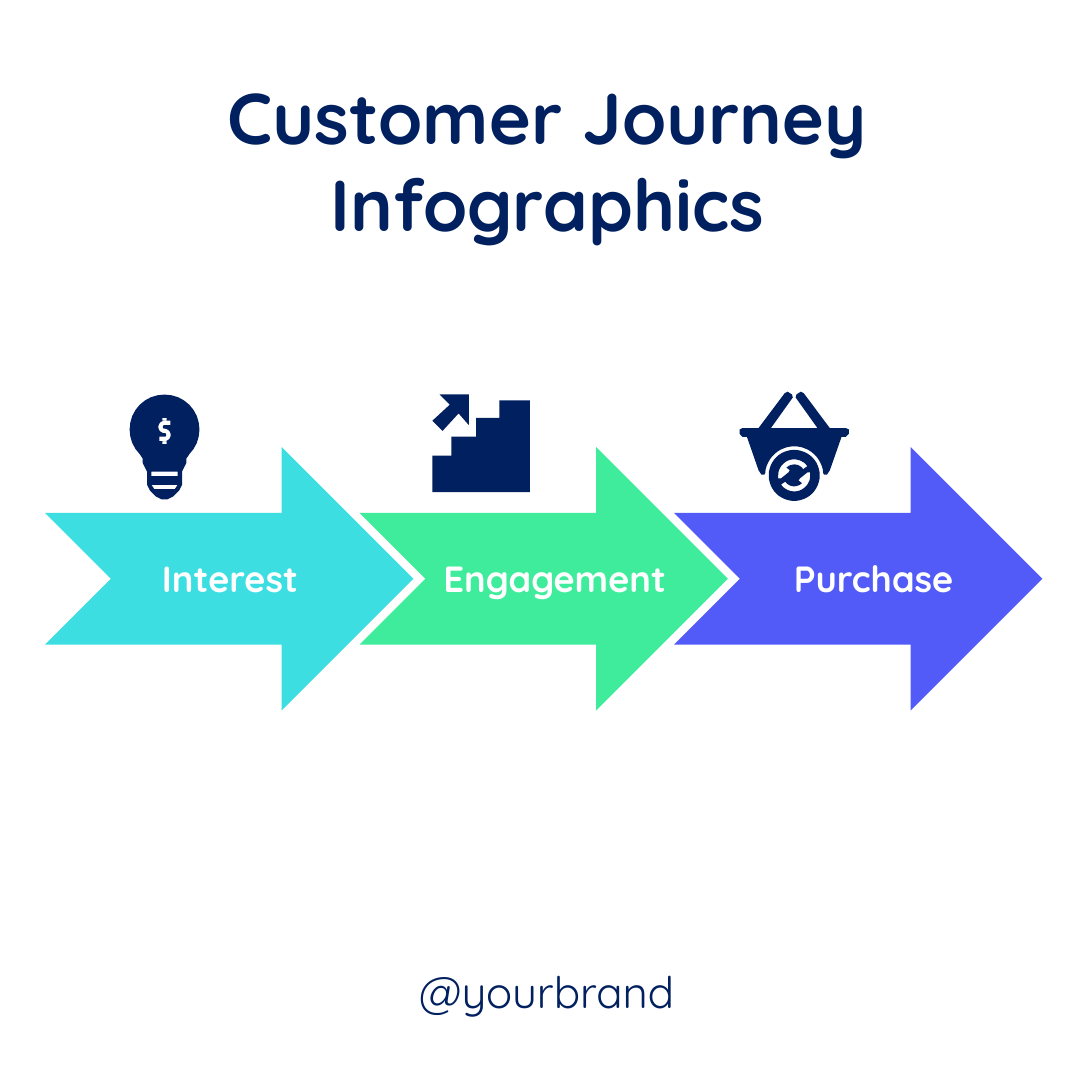
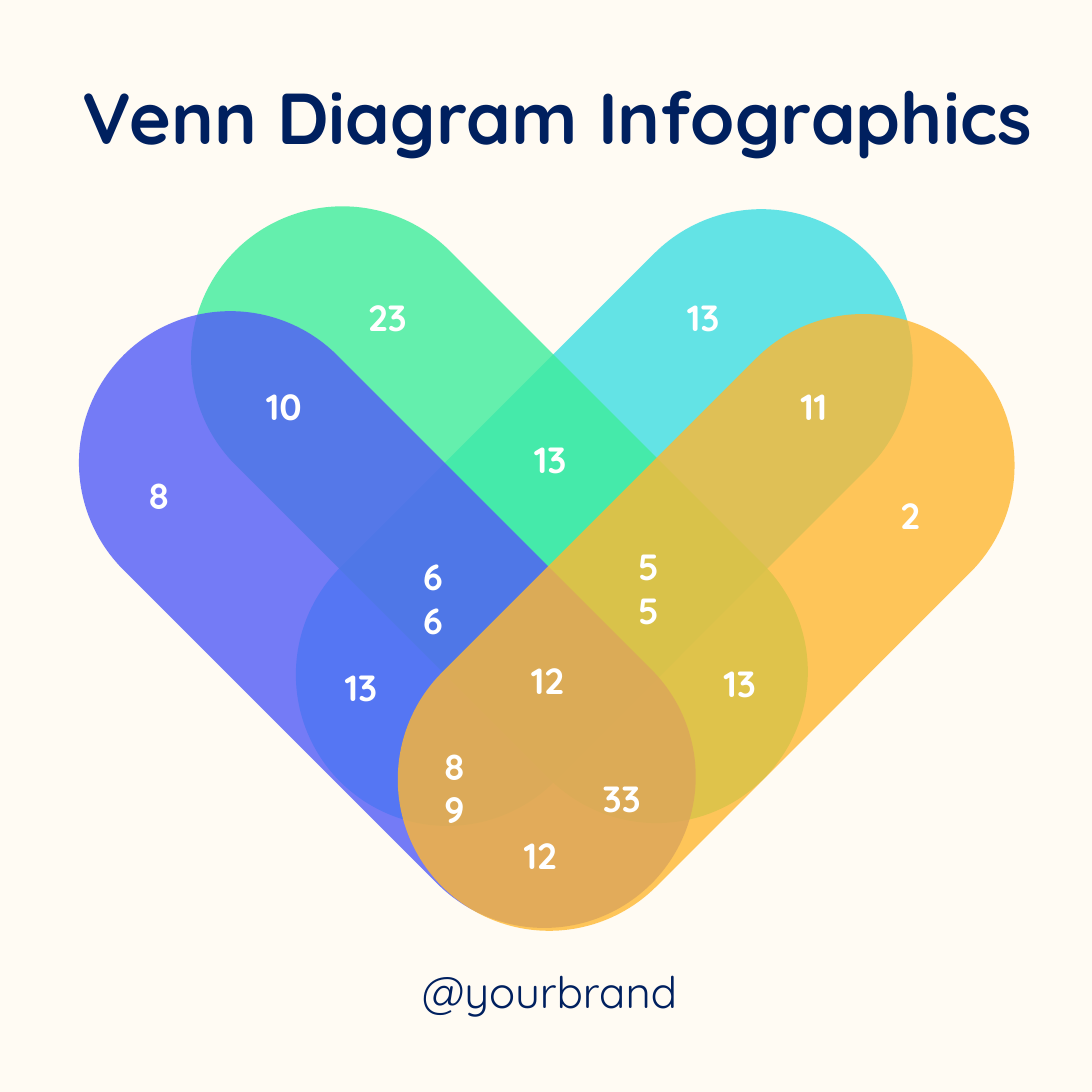
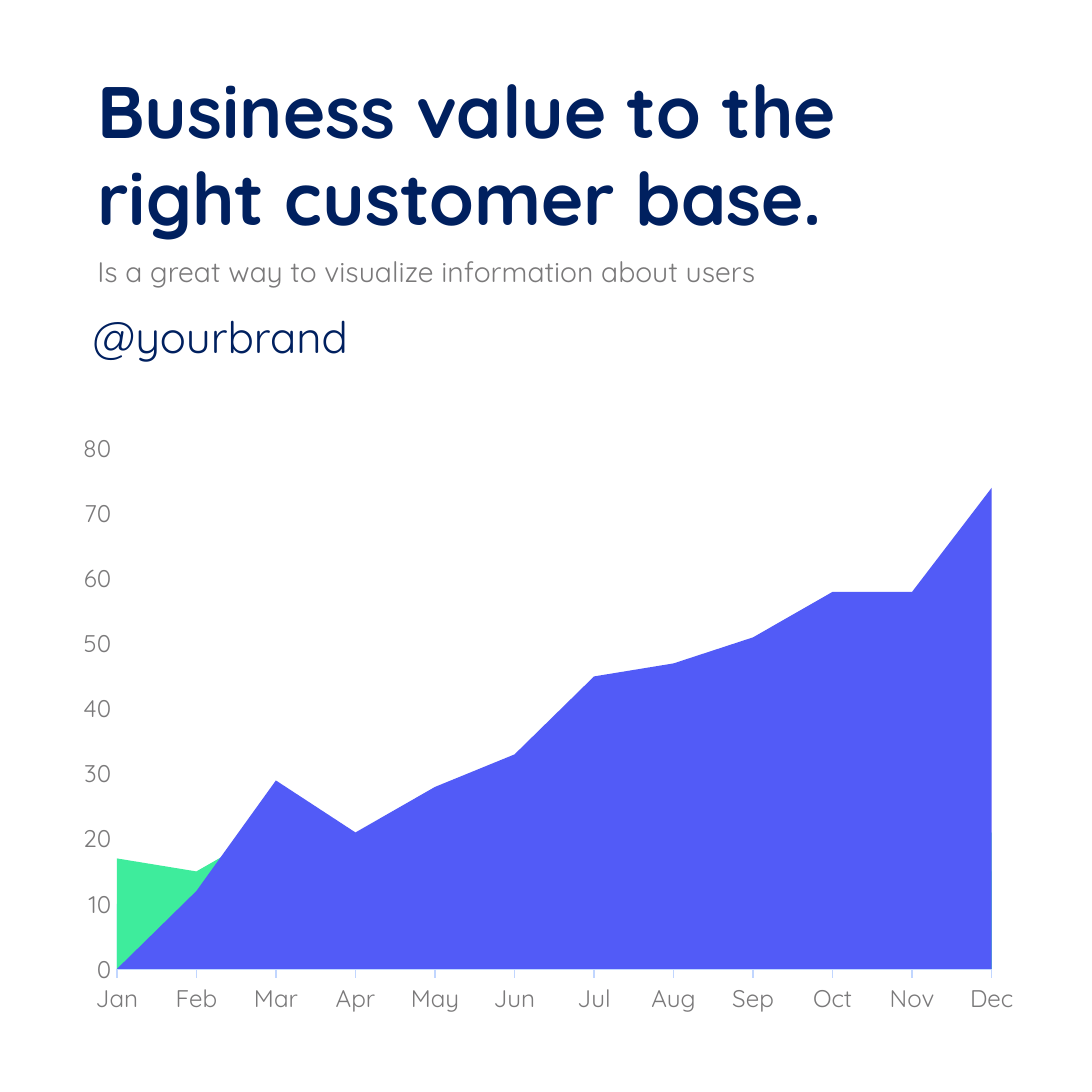
from math import cos, radians, sin

from lxml.etree import SubElement
from pptx import Presentation
from pptx.chart.data import CategoryChartData
from pptx.dml.color import RGBColor
from pptx.enum.chart import XL_CHART_TYPE, XL_TICK_MARK
from pptx.enum.shapes import MSO_SHAPE
from pptx.enum.text import MSO_AUTO_SIZE, PP_ALIGN
from pptx.oxml.ns import qn
from pptx.util import Inches, Pt

FONT = "Quicksand"
NAVY = RGBColor(0x00, 0x20, 0x5F)
WHITE = RGBColor(0xFF, 0xFF, 0xFF)
CREAM = RGBColor(0xFF, 0xFB, 0xF3)
GRAY = RGBColor(0x7A, 0x79, 0x7A)
CYAN = RGBColor(0x3C, 0xDE, 0xE2)
GREEN = RGBColor(0x3E, 0xEC, 0x9C)
BLUE = RGBColor(0x52, 0x5B, 0xF7)
ORANGE = RGBColor(0xFE, 0xB8, 0x33)
PALE_BLUE = RGBColor(0xC1, 0xD6, 0xFF)


def add_slide(presentation, background):
    slide = presentation.slides.add_slide(presentation.slide_layouts[6])
    slide.background.fill.solid()
    slide.background.fill.fore_color.rgb = background
    return slide


def add_text(slide, box, text, size, color, bold=False, align=PP_ALIGN.CENTER, wrap=True):
    frame = slide.shapes.add_textbox(*map(Inches, box)).text_frame
    frame.word_wrap = wrap
    frame.auto_size = MSO_AUTO_SIZE.SHAPE_TO_FIT_TEXT
    paragraph = frame.paragraphs[0]
    paragraph.alignment = align
    run = paragraph.add_run()
    run.text = text
    run.font.name = FONT
    run.font.size = Pt(size)
    run.font.bold = bold
    run.font.color.rgb = color


def add_title(slide, box, text, size=35.6, align=PP_ALIGN.CENTER):
    add_text(slide, box, text, size, NAVY, True, align)


def add_handle(slide, left, top=6.58, align=PP_ALIGN.CENTER):
    add_text(slide, (left, top, 2.75, 0.46), "@yourbrand", 21.6, NAVY, align=align)


def add_label(slide, box, text, wrap=True):
    add_text(slide, box, text, 18, WHITE, True, wrap=wrap)


def paint(shape, color, opacity=100):
    shape.shadow.inherit = False
    shape.line.fill.background()
    shape.fill.solid()
    shape.fill.fore_color.rgb = color
    if opacity < 100:
        color_element = shape.fill._xPr.find(qn("a:solidFill"))[0]
        SubElement(color_element, qn("a:alpha")).set("val", str(opacity * 1000))


def arc(center_x, center_y, radius, start, end, steps=24):
    """Return points along an arc; angles run clockwise from the right."""
    angles = [radians(start + (end - start) * step / steps) for step in range(steps + 1)]
    return [(center_x + radius * cos(a), center_y + radius * sin(a)) for a in angles]


def rectangle(left, top, right, bottom):
    return [(left, top), (right, top), (right, bottom), (left, bottom)]


def mirror(points, center_x):
    """Return the points reflected left to right, in reverse order."""
    return [(2 * center_x - x, y) for x, y in reversed(points)]


def add_icon(slide, left, top, contours):
    """Draw closed contours, in hundredths of an inch; inner ones become holes."""
    builder = None
    for contour in contours:
        points = [(10 * x, 10 * y) for x, y in contour]
        if builder is None:
            builder = slide.shapes.build_freeform(*points[0], scale=Inches(1) / 1000)
        else:
            builder.move_to(*points[0])
        builder.add_line_segments(points[1:], close=True)
    paint(builder.convert_to_shape(Inches(left), Inches(top)), NAVY)


def add_bulb(slide, left, top):
    neck = [(41, 41), (39, 44), (39, 47), (36, 53), (36, 62), (34, 66), (30, 70), (26, 72)]
    bulb = arc(24, 24, 24, 135, 405) + neck + mirror(neck, 24)
    dollar = ([(28, 18)] + arc(24, 22.25, 4.25, 270, 90) + arc(24, 27.75, 1.25, -90, 90)
              + [(20.5, 29), (20.5, 32)]
              + arc(24, 27.75, 4.25, 90, -90) + arc(24, 22.25, 1.25, 90, 270) + [(28, 21)])
    add_icon(slide, left, top, [
        bulb, dollar,
        rectangle(22.5, 16, 25.5, 18), rectangle(22.5, 32, 25.5, 34),
        rectangle(15, 53, 33, 56), [(15, 62), (33, 62), (31, 65), (17, 65)],
    ])


def add_stairs(slide, left, top):
    stairs = [(46, 4), (46, 16), (30, 16), (30, 29), (13, 29),
              (13, 42), (0, 42), (0, 67), (67, 67), (67, 4)]
    arrow = [(7, 25), (18, 13), (25, 21), (25, 0), (5, 0), (12, 7), (0, 18)]
    add_icon(slide, left, top, [stairs, arrow])


def add_basket(slide, left, top):
    middle, wheel_y = 37.5, 57.5
    half = [(21.5, 25), (36.5, 4), (36, 2), (33, 0), (31, 1), (13, 25), (2, 25), (0, 26),
            (0, 29), (2, 31), (5, 31), (13, 54), (15, 57), (17, 57)]
    basket = half + arc(middle, wheel_y, 20, 185, 355) + mirror(half, middle)
    turn = (arc(0, 0, 11, 180, 325) + arc(0, 0, 7.5, 325, 225)
            + [(-3, -3.5), (-4, -2), (-9, 2), (-11, 2)])
    turns = [[(middle + sign * x, wheel_y + sign * y) for x, y in turn] for sign in (1, -1)]
    add_icon(slide, left, top, [basket, arc(middle, wheel_y, 17.5, 0, 360, 48), *turns])


def add_stage(slide, left, top, name, color, label_offset):
    arrow = slide.shapes.add_shape(
        MSO_SHAPE.NOTCHED_RIGHT_ARROW, Inches(left), Inches(top), Inches(2.53), Inches(1.81))
    paint(arrow, color)
    add_label(slide, (left + label_offset, top + 0.7, 1.8, 0.4), name)


def build_journey_slide(presentation):
    slide = add_slide(presentation, WHITE)
    add_title(slide, (0.56, 0.45, 6.4, 1.3), "Customer Journey Infographics")
    stages = [("Interest", CYAN, 0.37), ("Engagement", GREEN, 0.44), ("Purchase", BLUE, 0.47)]
    for index, stage in enumerate(stages):
        add_stage(slide, 0.31 + 2.16 * index, 3.07, *stage)
    add_bulb(slide, 0.89, 2.71)
    add_stairs(slide, 2.97, 2.71)
    add_basket(slide, 5.08, 2.69)
    add_handle(slide, 2.38)


def add_venn(slide, left, top):
    capsules = [(1.49, 0.02, 45, CYAN), (0.77, 0, 135, GREEN),
                (0, 0.72, 135, BLUE), (2.19, 0.74, 45, ORANGE)]
    for x, y, rotation, color in capsules:
        capsule = slide.shapes.add_shape(
            MSO_SHAPE.ROUNDED_RECTANGLE,
            Inches(left + x), Inches(top + y), Inches(2.08), Inches(5.13))
        capsule.adjustments[0] = 0.5
        capsule.rotation = rotation
        paint(capsule, color, 80)

    # Center and top of each value
    values = [("23", 1.04, 1.01), ("10", 0.33, 1.62), ("8", -0.53, 2.23), ("13", 3.21, 1.01),
              ("11", 3.97, 1.62), ("2", 4.63, 2.37), ("13", 2.16, 1.98), ("13", 0.86, 3.55),
              ("12", 2.14, 3.5), ("89", 1.5, 4.09), ("13", 3.46, 3.52), ("33", 2.65, 4.31),
              ("12", 2.09, 4.7)]
    for value, center, y in values:
        add_label(slide, (left + center - 0.24, top + y, 0.48, 0.4), value, wrap=False)
    # Narrow boxes put one digit on each line
    for value, center, y in [("66", 1.36, 2.79), ("55", 2.84, 2.72)]:
        add_label(slide, (left + center - 0.22, top + y, 0.43, 0.71), value)


def build_venn_slide(presentation):
    slide = add_slide(presentation, CREAM)
    add_title(slide, (0.32, 0.45, 7.02, 0.7), "Venn Diagram Infographics")
    add_handle(slide, 2.4)
    add_venn(slide, 1.62, 0.97)


def set_plot_area(chart, x, y, w, h):
    """Fix the inner plot area, as shares of the chart."""
    plot_area = chart._chartSpace.chart.plotArea
    for layout in plot_area.findall(qn("c:layout")):
        plot_area.remove(layout)
    layout = SubElement(plot_area, qn("c:layout"))
    plot_area.insert(0, layout)
    manual = SubElement(layout, qn("c:manualLayout"))
    settings = [("layoutTarget", "inner"), ("xMode", "edge"), ("yMode", "edge"),
                ("x", x), ("y", y), ("w", w), ("h", h)]
    for name, value in settings:
        SubElement(manual, qn("c:" + name)).set("val", str(value))
    for crossing in plot_area.iter(qn("c:crossBetween")):
        crossing.set("val", "midCat")


def add_growth_chart(slide, box):
    data = CategoryChartData()
    data.categories = "Jan Feb Mar Apr May Jun Jul Aug Sep Oct Nov Dec".split()
    data.add_series("Series 1", (0, 12, 29, 21, 28, 33, 45, 47, 51, 58, 58, 74))
    data.add_series("Series 2", (17, 15, 22, 18, 13, 21, 28, 22, 30, 21, 12, 21))
    data.add_series("Series 3", (10, 4, 7, 12, 9, 18, 14, 18, 20, 25, 17, 15))
    chart = slide.shapes.add_chart(XL_CHART_TYPE.AREA, *map(Inches, box), data).chart
    chart.has_legend = False
    chart.has_title = False
    chart.font.name = FONT
    chart.font.size = Pt(12)
    chart.font.color.rgb = GRAY
    chart.plots[0].vary_by_categories = False
    for series, color in zip(chart.plots[0].series, (BLUE, GREEN, CYAN)):
        series.format.fill.solid()
        series.format.fill.fore_color.rgb = color
        series.format.line.fill.background()

    months, amounts = chart.category_axis, chart.value_axis
    for axis in (months, amounts):
        axis.has_major_gridlines = False
        axis.minor_tick_mark = XL_TICK_MARK.NONE
    months.major_tick_mark = XL_TICK_MARK.OUTSIDE
    months.format.line.color.rgb = PALE_BLUE
    months.format.line.width = Pt(0.75)
    amounts.major_tick_mark = XL_TICK_MARK.NONE
    amounts.format.line.fill.background()
    amounts.minimum_scale, amounts.maximum_scale, amounts.major_unit = 0, 80, 10
    set_plot_area(chart, 0.034, 0.025, 0.943, 0.906)


def build_growth_slide(presentation):
    slide = add_slide(presentation, WHITE)
    add_growth_chart(slide, (0.57, 2.98, 6.39, 3.98))
    add_title(slide, (0.57, 0.4, 6.39, 1.31), "Business value to the right customer base.",
              36, PP_ALIGN.LEFT)
    add_text(slide, (0.57, 1.7, 5.86, 0.34),
             "Is a great way to visualize information about users", 14, GRAY,
             align=PP_ALIGN.LEFT)
    add_handle(slide, 0.54, 2.08, PP_ALIGN.LEFT)


def main():
    presentation = Presentation()
    presentation.slide_width = presentation.slide_height = Inches(7.5)
    build_journey_slide(presentation)
    build_venn_slide(presentation)
    build_growth_slide(presentation)
    presentation.save("out.pptx")


if __name__ == "__main__":
    main()
